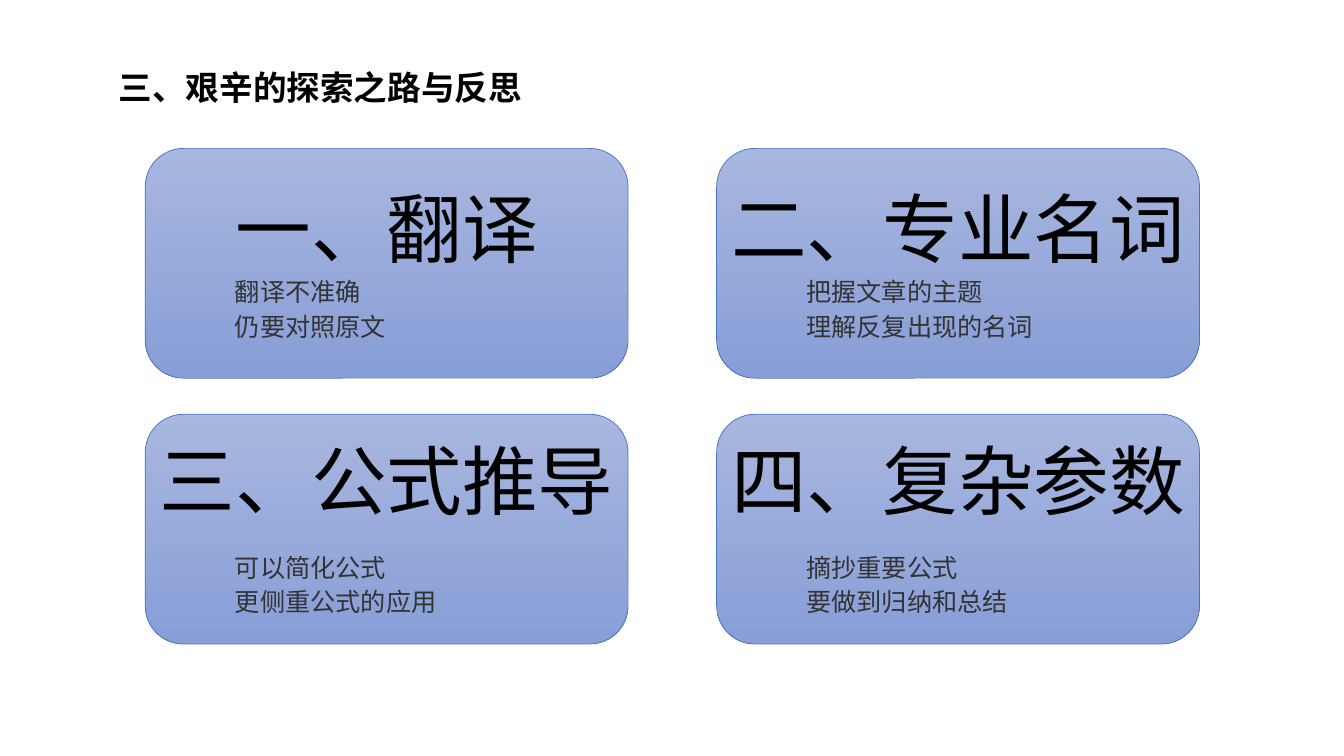
from pptx import Presentation
from pptx.dml.color import RGBColor
from pptx.enum.shapes import MSO_SHAPE
from pptx.enum.text import MSO_ANCHOR, MSO_AUTO_SIZE, PP_ALIGN
from pptx.oxml.ns import qn
from pptx.util import Cm, Pt
from lxml import etree

BLACK = RGBColor(0x00, 0x00, 0x00)
GREY = RGBColor(0x33, 0x33, 0x33)
LIGHT = RGBColor(0xA8, 0xB7, 0xDF)
DARK = RGBColor(0x88, 0x9E, 0xD7)
BLUE = RGBColor(0x44, 0x72, 0xC4)
HEAD_FONT = "Noto Sans CJK SC"
BODY_FONT = "Open Sans"


def write(sp, text, size, font=HEAD_FONT, color=BLACK, bold=False,
          align=PP_ALIGN.LEFT, spacing=1.0, wrap=False):
    tf = sp.text_frame
    tf.word_wrap = wrap
    tf.auto_size = MSO_AUTO_SIZE.NONE
    tf.vertical_anchor = MSO_ANCHOR.TOP
    for i, line in enumerate(text.split("\n")):
        p = tf.add_paragraph() if i else tf.paragraphs[0]
        p.alignment = align
        p.line_spacing = spacing
        r = p.add_run()
        r.text = line
        r.font.size = Pt(size)
        r.font.bold = bold
        r.font.color.rgb = color
        r.font.name = font
        ea = etree.SubElement(r.font._element, qn("a:ea"))
        ea.set("typeface", font)


prs = Presentation()
prs.slide_width = Cm(33.87)
prs.slide_height = Cm(19.05)
s = prs.slides.add_slide(prs.slide_layouts[5])

title = s.shapes.title
title.left, title.top, title.width, title.height = Cm(2.74), Cm(1.55), Cm(11.13), Cm(1.28)
write(title, "三、艰辛的探索之路与反思", 24, bold=True)

cards = [
    ("一、翻译", "翻译不准确\n仍要对照原文"),
    ("二、专业名词", "把握文章的主题\n理解反复出现的名词"),
    ("三、公式推导", "可以简化公式\n更侧重公式的应用"),
    ("四、复杂参数", "摘抄重要公式\n要做到归纳和总结"),
]
left, top, width, height = 3.66, 3.74, 12.17, 5.79
col_step, row_step = 14.4, 6.7
head_drops = [0.71, 0.36]
body_drops = [2.98, 3.23]

for i, (heading, body) in enumerate(cards):
    row, col = divmod(i, 2)
    x, y = left + col * col_step, top + row * row_step

    card = s.shapes.add_shape(MSO_SHAPE.ROUNDED_RECTANGLE, Cm(x), Cm(y), Cm(width), Cm(height))
    card.shadow.inherit = False
    card.fill.gradient()
    card.fill.gradient_angle = 270
    for stop, color in zip(card.fill.gradient_stops, (LIGHT, DARK)):
        stop.color.rgb = color
    card.line.color.rgb = BLUE
    card.line.width = Pt(0.5)

    sp = s.shapes.add_textbox(Cm(x), Cm(y + head_drops[row]), Cm(width), Cm(2.57))
    write(sp, heading, 54, align=PP_ALIGN.CENTER)

    sp = s.shapes.add_textbox(Cm(x + 2.01), Cm(y + body_drops[row]), Cm(8.2), Cm(1.91))
    write(sp, body, 18, font=BODY_FONT, color=GREY, spacing=1.15, wrap=True)

prs.save("out.pptx")
